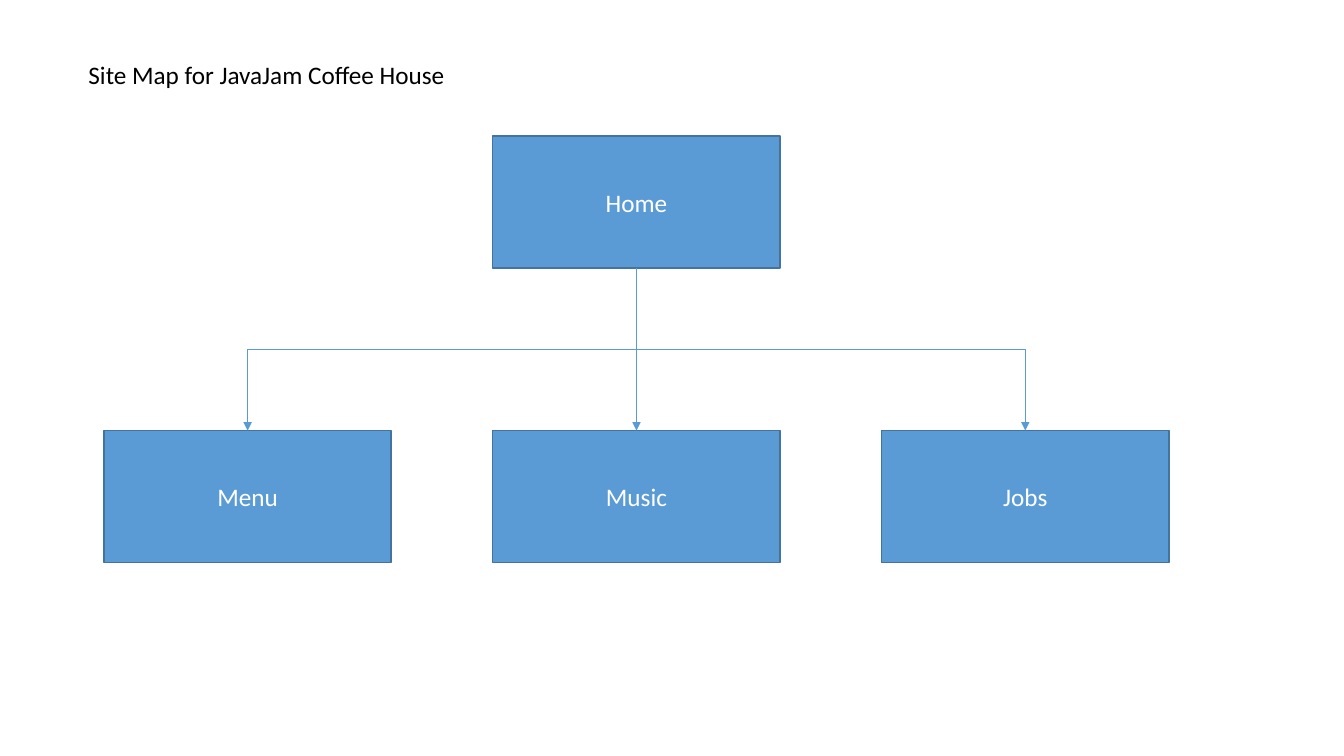
"""Build the one-slide site map: a home page leading to three sub-pages."""
from lxml import etree
from pptx import Presentation
from pptx.dml.color import RGBColor
from pptx.enum.shapes import MSO_CONNECTOR, MSO_SHAPE
from pptx.enum.text import MSO_ANCHOR, MSO_AUTO_SIZE, PP_ALIGN
from pptx.oxml.ns import qn
from pptx.util import Cm, Pt

HEADING = "Site Map for JavaJam Coffee House"
HOME = "Home"
SUBPAGES = ["Menu", "Music", "Jobs"]

COLORS = {"page": "5B9BD5", "border": "43739E", "label": "FFFFFF", "heading": "000000"}
FONT, TEXT_SIZE = "Calibri", Pt(18)
PAGE_WIDTH, PAGE_HEIGHT = Cm(7.24), Cm(3.33)
FIRST_LEFT, COLUMN_STEP = Cm(2.62), Cm(9.8)
HOME_TOP, SUBPAGE_TOP = Cm(3.43), Cm(10.85)
BOTTOM_SITE, TOP_SITE = 2, 0
QUARTER_TURN = 90 * 60000


def color(role):
    return RGBColor.from_string(COLORS[role])


def write(frame, text, role, alignment):
    frame.text = text
    paragraph = frame.paragraphs[0]
    paragraph.alignment = alignment
    font = paragraph.runs[0].font
    font.name, font.size = FONT, TEXT_SIZE
    font.color.rgb = color(role)


def add_page(slide, name, column, top):
    page = slide.shapes.add_shape(
        MSO_SHAPE.RECTANGLE, FIRST_LEFT + column * COLUMN_STEP, top, PAGE_WIDTH, PAGE_HEIGHT)
    page.shadow.inherit = False
    page.fill.solid()
    page.fill.fore_color.rgb = color("page")
    page.line.color.rgb = color("border")
    page.line.width = Pt(1)
    page.text_frame.vertical_anchor = MSO_ANCHOR.MIDDLE
    write(page.text_frame, name, "label", PP_ALIGN.CENTER)
    return page


def turn_elbow(link, parent, child):
    """Rotate the elbow so that it leaves and arrives vertically."""
    span = abs(child.left - parent.left)
    start = parent.top + parent.height
    drop = child.top - start
    center_x = (parent.left + child.left + PAGE_WIDTH) // 2
    link.left, link.top = center_x - drop // 2, start + (drop - span) // 2
    link.width, link.height = drop, span
    to_right = child.left > parent.left
    xfrm = link._element.spPr.find(qn("a:xfrm"))
    xfrm.set("rot", str(QUARTER_TURN * (3 if to_right else 1)))
    xfrm.set("flipH", "1" if to_right else "0")
    xfrm.set("flipV", "0")


def add_link(slide, parent, child):
    straight = parent.left == child.left
    kind = MSO_CONNECTOR.STRAIGHT if straight else MSO_CONNECTOR.ELBOW
    link = slide.shapes.add_connector(kind, 0, 0, 0, 0)
    link.begin_connect(parent, BOTTOM_SITE)
    link.end_connect(child, TOP_SITE)
    if not straight:
        turn_elbow(link, parent, child)
    link.line.color.rgb = color("page")
    link.line.width = Pt(0.5)
    etree.SubElement(link.line._get_or_add_ln(), qn("a:tailEnd"), type="triangle")
    etree.SubElement(link._element.spPr, qn("a:effectLst"))


presentation = Presentation()
presentation.slide_width, presentation.slide_height = Cm(33.87), Cm(19.05)
slide = presentation.slides.add_slide(presentation.slide_layouts[6])

home = add_page(slide, HOME, len(SUBPAGES) // 2, HOME_TOP)
subpages = [add_page(slide, name, column, SUBPAGE_TOP) for column, name in enumerate(SUBPAGES)]
for subpage in subpages:
    add_link(slide, home, subpage)

heading = slide.shapes.add_textbox(Cm(1.98), Cm(1.37), Cm(10.11), Cm(1.03))
heading.text_frame.word_wrap = True
heading.text_frame.auto_size = MSO_AUTO_SIZE.SHAPE_TO_FIT_TEXT
write(heading.text_frame, HEADING, "heading", PP_ALIGN.LEFT)

presentation.save("out.pptx")
